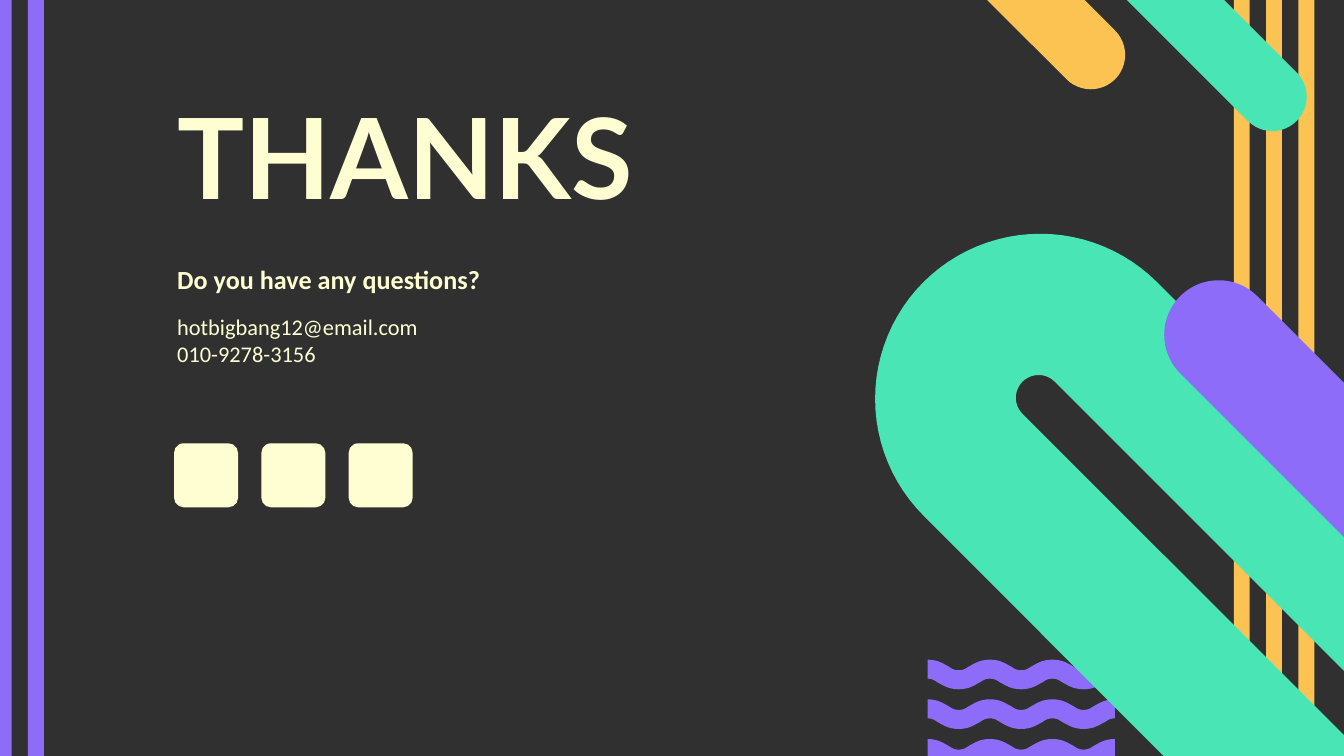
from math import cos, radians, sin

from pptx import Presentation
from pptx.dml.color import RGBColor
from pptx.enum.shapes import MSO_SHAPE
from pptx.enum.text import MSO_ANCHOR
from pptx.util import Cm, Pt

RECTANGLE = MSO_SHAPE.RECTANGLE
ROUNDED = MSO_SHAPE.ROUNDED_RECTANGLE
ROUND_TOP = MSO_SHAPE.ROUND_2_SAME_RECTANGLE
TOP, BOTTOM = MSO_ANCHOR.TOP, MSO_ANCHOR.BOTTOM

DARK, CREAM, YELLOW, GREEN, PURPLE = "303030", "FFFED2", "FCC353", "49E5B5", "8D6CFA"


def color(value):
    return RGBColor.from_string(value)


def arc(x, y, radius, start, end, steps=48):
    angles = [radians(start + (end - start) * i / steps) for i in range(steps + 1)]
    return [(x + radius * cos(angle), y + radius * sin(angle)) for angle in angles]


def bezier(a, b, c, d, steps=8):
    times = [i / steps for i in range(steps + 1)]
    return [tuple((1 - t) ** 3 * p + 3 * t * (1 - t) ** 2 * q + 3 * t * t * (1 - t) * r + t ** 3 * s
                  for p, q, r, s in zip(a, b, c, d)) for t in times]


def wave(left, top, half=0.59, halves=6, height=0.56):
    fall = (bezier((0, 0), (0.2, 0), (0.3, 0.08), (0.4, 0.13))
            + bezier((0.4, 0.13), (0.46, 0.17), (0.5, 0.2), (half, 0.2)))
    rise = [(half - x, y) for x, y in reversed(fall)]
    edge = [(i * half + x, y) for i in range(halves) for x, y in (rise if i % 2 else fall)]
    lower = [(x + half, height - y) for i in range(halves)
             for x, y in [((i - 1) * half + x, y) for x, y in (fall if i % 2 else rise)]]
    return [(left + x, top + y) for x, y in edge + lower[::-1]]


class SlideBuilder:
    """Draws styled elements on the current slide."""

    def __init__(self, slide):
        self.slide = slide
        self.slide.background.fill.solid()
        self.slide.background.fill.fore_color.rgb = color(DARK)

    def paint(self, shape, fill):
        shape.shadow.inherit = False
        shape.fill.solid()
        shape.fill.fore_color.rgb = color(fill)
        shape.line.fill.background()

    def shape(self, kind, left, top, width, height, fill, rotation=0, rounding=None):
        shape = self.slide.shapes.add_shape(kind, Cm(left), Cm(top), Cm(width), Cm(height))
        self.paint(shape, fill)
        shape.rotation = rotation
        if rounding is not None:
            shape.adjustments[0] = rounding

    def outline(self, points, fill):
        corners = [(Cm(x), Cm(y)) for x, y in points]
        builder = self.slide.shapes.build_freeform(*corners[0])
        builder.add_line_segments(corners[1:], close=True)
        self.paint(builder.convert_to_shape(), fill)

    def text(self, left, top, width, height, lines, font, anchor=TOP):
        box = self.slide.shapes.add_textbox(Cm(left), Cm(top), Cm(width), Cm(height))
        frame = box.text_frame
        frame.word_wrap = True
        frame.vertical_anchor = anchor
        frame.margin_left = frame.margin_right = Cm(0.25)
        frame.margin_top = frame.margin_bottom = Cm(0.25)
        for index, (words, size, bold, before) in enumerate(lines):
            paragraph = frame.add_paragraph() if index else frame.paragraphs[0]
            paragraph.space_before = Pt(before)
            run = paragraph.add_run()
            run.text = words
            run.font.name = font
            run.font.size = Pt(size)
            run.font.bold = bold
            run.font.color.rgb = color(CREAM)


def main():
    presentation = Presentation()
    presentation.slide_width, presentation.slide_height = Cm(25.4), Cm(14.29)
    builder = SlideBuilder(presentation.slides.add_slide(presentation.slide_layouts[6]))

    for first, count, fill in ((23.32, 3, YELLOW), (-0.08, 2, PURPLE)):
        for i in range(count):
            builder.shape(RECTANGLE, first + 0.61 * i, -0.36, 0.3, 15.52, fill)
    for i in range(3):
        builder.outline(wave(17.53, 12.47 + 0.75 * i), PURPLE)
    for left, top, fill in ((22.4, -1.22, GREEN), (18.97, -2.01, YELLOW)):
        builder.shape(ROUND_TOP, left, top, 1.3, 4.11, fill, 135, 0.5)

    builder.text(3.1, 4.72, 12.42, 3.25, [
        ("Do you have any questions?", 14, True, 0),
        ("hotbigbang12@email.com", 12, False, 10),
        ("010-9278-3156", 12, False, 0),
    ], "Calibri")
    builder.text(3.1, 1.5, 12.42, 2.95, [("THANKS", 60, True, 0)], "Lato", BOTTOM)
    for i in range(3):
        builder.shape(ROUNDED, 3.29 + 1.65 * i, 8.38, 1.21, 1.21, CREAM, rounding=0.15)

    hook = (arc(19.66, 7.54, 3.12, 135, 315) + arc(30.99, 16.36, 1.35, -45, 135)
            + arc(19.63, 7.52, 0.43, 315, 135) + arc(29.97, 20.37, 1.35, -45, 135))
    builder.outline(hook, GREEN)
    builder.shape(ROUND_TOP, 25.91, 3.68, 2.06, 13.11, PURPLE, 315, 0.5)
    presentation.save("out.pptx")


if __name__ == "__main__":
    main()
